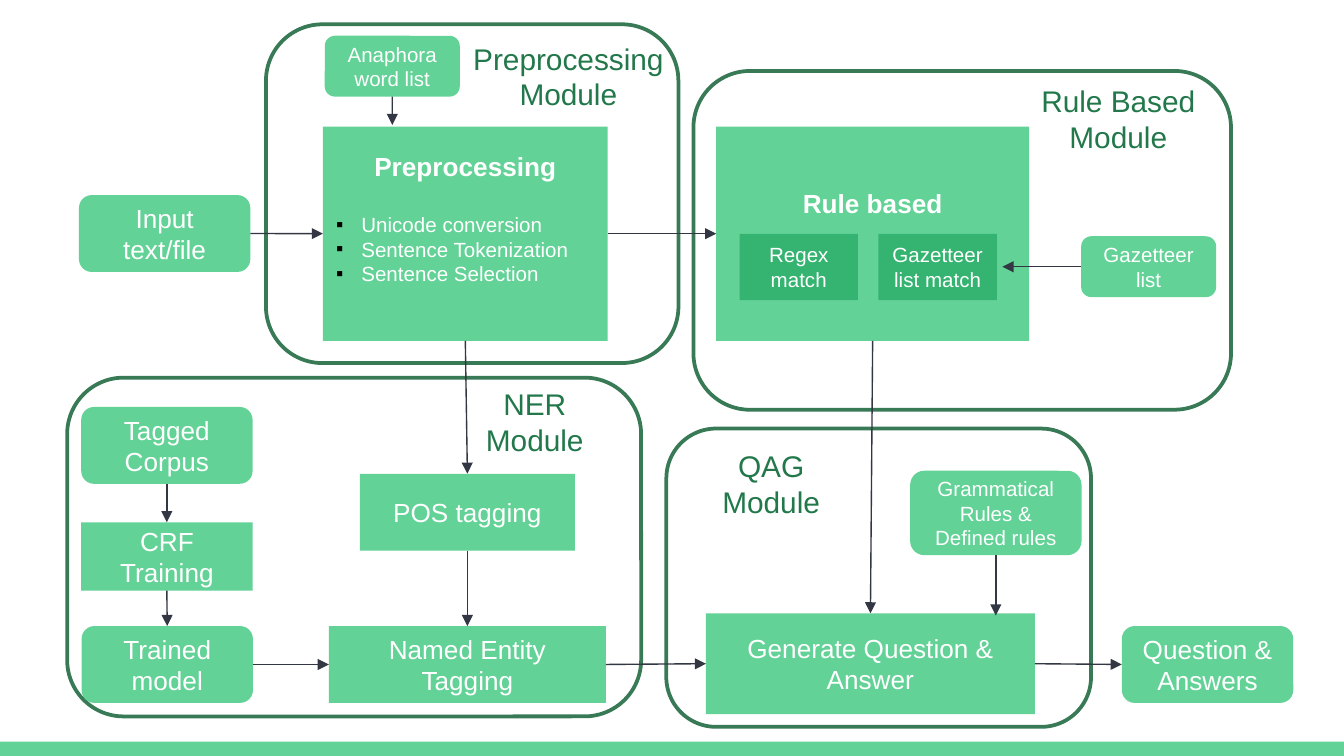
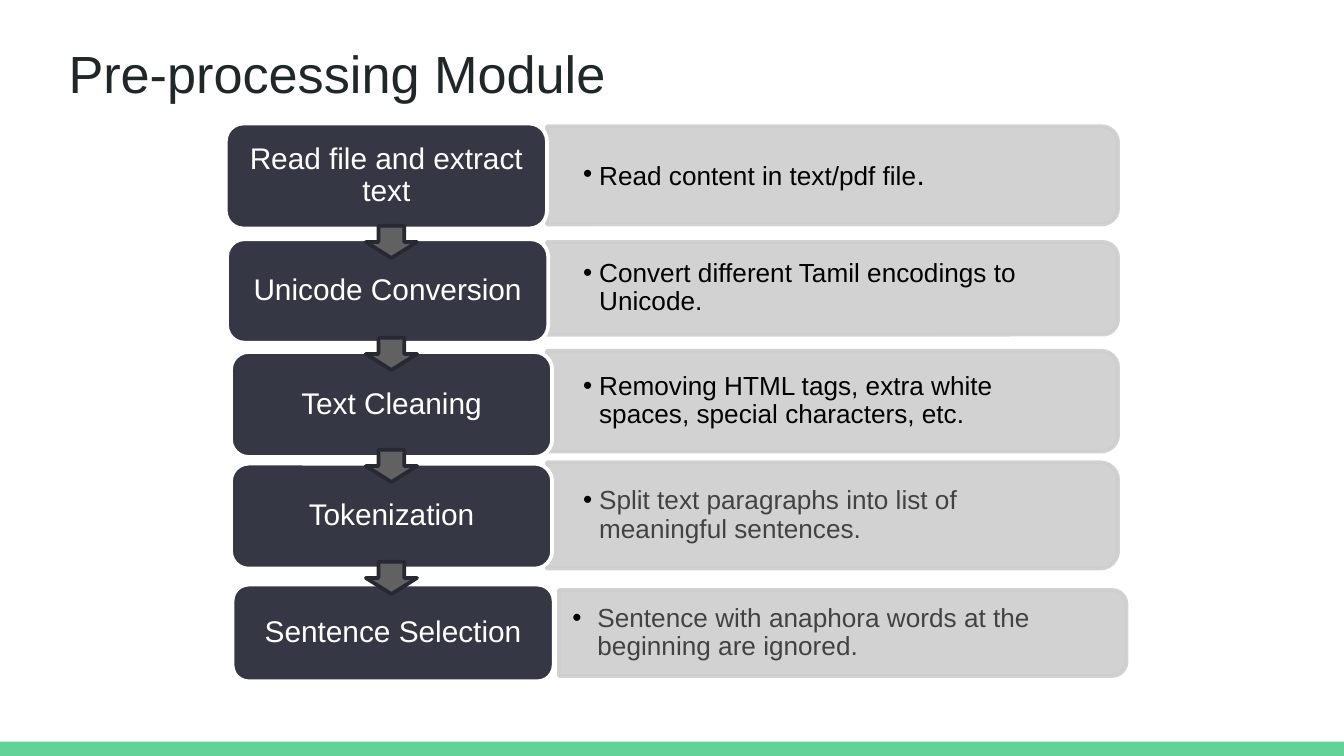
from dataclasses import dataclass
from typing import NamedTuple

import pptx
import pptx.dml.color
import pptx.enum.shapes
import pptx.enum.text
import pptx.oxml
import pptx.oxml.ns
import pptx.util

Pt = pptx.util.Pt
qn = pptx.oxml.ns.qn
Kind = pptx.enum.shapes.MSO_SHAPE
Align = pptx.enum.text.PP_ALIGN
Anchor = pptx.enum.text.MSO_ANCHOR

FONT = "Arial"
GREEN, DEEP_GREEN, FRAME_GREEN, LABEL_GREEN = "63D297", "34B470", "387956", "23784B"
WHITE, BLACK, GRAY = "FFFFFF", "000000", "424242"
NAVY, PANEL_GRAY, ARROW_GRAY, ARROW_EDGE = "353744", "CECECF", "616161", "272932"
LINK_COLOR, TITLE_COLOR = "333643", "202729"
TOP, LEFT, BOTTOM, RIGHT = range(4)


class Area(NamedTuple):
    left: float
    top: float
    width: float
    height: float


class Span(NamedTuple):
    text: str
    size: float


@dataclass(frozen=True)
class Box:
    text: str
    area: Area
    size: float = 14
    kind: int = Kind.ROUNDED_RECTANGLE
    fill: str = GREEN
    bold: bool = False
    space_below: float = 3.6


@dataclass(frozen=True)
class Link:
    """Arrow from a box side to another box side, or to a free point."""
    start: str
    start_side: int
    end: str | tuple[float, float]
    end_side: int = TOP


@dataclass(frozen=True)
class Step:
    name: str
    area: Area
    panel: Area
    spans: tuple[Span, ...]
    color: str = BLACK
    inset: float = 19.4
    indent: float = 8.6


FRAMES = [
    Area(357, 229.6, 227.5, 159.8),
    Area(371.5, 38, 288, 181.5),
    Area(36, 202.3, 307.5, 181.5),
    Area(142.5, 13, 221, 181.5),
]
LABELS = [
    ("QAG Module", Area(362, 236.2, 102.2, 46)),
    ("NER Module", Area(235.4, 203, 102.2, 46)),
    ("Rule Based Module", Area(530, 41, 138.2, 46)),
    ("Preprocessing Module", Area(235.4, 18, 138.2, 46)),
]
BOXES = [
    Box("Input text/file", Area(42.3, 104.5, 91.8, 41.2)),
    Box("Preprocessing", Area(173, 67.8, 152.6, 114.8), kind=Kind.RECTANGLE,
        bold=True, space_below=20),
    Box("Anaphora word list", Area(174, 19.2, 72.3, 32.6), 11),
    Box("Rule based", Area(383.7, 67.8, 167.6, 114.8), kind=Kind.RECTANGLE,
        bold=True, space_below=36),
    Box("Gazetteer list match", Area(470.6, 125.3, 63.5, 35.6), 11, Kind.RECTANGLE, DEEP_GREEN),
    Box("Regex match", Area(396.2, 125.3, 63.5, 35.6), 11, Kind.RECTANGLE, DEEP_GREEN),
    Box("Gazetteer list", Area(579.2, 126.6, 72.3, 32.6), 11),
    Box("Tagged Corpus", Area(43.5, 218, 91.8, 41.2)),
    Box("Trained model", Area(43.7, 335.4, 91.8, 41.2)),
    Box("CRF Training", Area(43.5, 279.8, 91.8, 36.6), kind=Kind.RECTANGLE),
    Box("Named Entity Tagging", Area(176.2, 335.4, 148.4, 41.2), kind=Kind.RECTANGLE),
    Box("POS tagging", Area(192.8, 253.8, 115.2, 41.2), kind=Kind.RECTANGLE),
    Box("Generate Question & Answer", Area(378.2, 328.6, 176.2, 54), kind=Kind.RECTANGLE),
    Box("Grammatical Rules & Defined rules", Area(487.6, 252.2, 91.8, 45.2), 11),
    Box("Question & Answers", Area(601, 335.4, 91.8, 41.2)),
]
PREPROCESSING_TASKS = ["Unicode conversion", "Sentence Tokenization", "Sentence Selection"]
LINKS = [
    Link("Preprocessing", RIGHT, "Rule based", LEFT),
    Link("Input text/file", RIGHT, "Preprocessing", LEFT),
    Link("Gazetteer list", LEFT, (537, 142.9)),
    Link("Grammatical Rules & Defined rules", BOTTOM, (533.5, 329.8)),
    Link("Preprocessing", BOTTOM, "POS tagging"),
    Link("POS tagging", BOTTOM, "Named Entity Tagging"),
    Link("Tagged Corpus", BOTTOM, "CRF Training"),
    Link("CRF Training", BOTTOM, "Trained model"),
    Link("Trained model", RIGHT, "Named Entity Tagging", LEFT),
    Link("Named Entity Tagging", RIGHT, "Generate Question & Answer", LEFT),
    Link("Generate Question & Answer", RIGHT, "Question & Answers", LEFT),
    Link("Anaphora word list", BOTTOM, (210.2, 67)),
    Link("Rule based", BOTTOM, "Generate Question & Answer"),
]
STEPS = [
    Step("Read file and extract text", Area(121, 66.2, 172, 56.2), Area(293, 67.7, 306, 52.6),
         (Span("Read content in text/pdf file", 14), Span(".", 16))),
    Step("Unicode Conversion", Area(121.7, 128.2, 172, 55.4), Area(293, 129.6, 306, 49.7),
         (Span("Convert different Tamil encodings to Unicode.", 14),)),
    Step("Text Cleaning", Area(123.8, 188.6, 172, 56.2), Area(293, 187.9, 306, 54),
         (Span("Removing HTML tags, extra white spaces, special characters, etc.", 14),)),
    Step("Tokenization", Area(123.8, 248.4, 172, 56.2), Area(293, 247.7, 306, 56.9),
         (Span("Split text paragraphs into list of meaningful sentences.", 14),), GRAY),
    Step("Sentence Selection", Area(124.6, 313.2, 172, 51.8), Area(299.5, 316.1, 304, 46.1),
         (Span("Sentence with anaphora words at the beginning are ignored.", 14),),
         GRAY, 7.2, 13.5),
]


def rgb(color: str) -> pptx.dml.color.RGBColor:
    return pptx.dml.color.RGBColor.from_string(color)


def add_run(paragraph, text: str, size: float, color: str, bold: bool = False) -> None:
    run = paragraph.add_run()
    run.text = text
    run.font.name = FONT
    run.font.size = Pt(size)
    run.font.bold = bold
    run.font.color.rgb = rgb(color)


def add_bullet(paragraph, character: str, indent: float) -> None:
    properties = paragraph._p.get_or_add_pPr()
    properties.set("marL", str(Pt(indent)))
    properties.set("indent", str(-Pt(indent)))
    namespace = pptx.oxml.ns.nsdecls("a")
    for xml in (f'<a:buClr {namespace}><a:srgbClr val="{BLACK}"/></a:buClr>',
                f'<a:buFont {namespace} typeface="{FONT}"/>',
                f'<a:buChar {namespace} char="{character}"/>'):
        properties.append(pptx.oxml.parse_xml(xml))


def set_frame(shape, horizontal: float = 7.2, vertical: float = 3.6, anchor=Anchor.MIDDLE):
    """Wrap the shape's text, set its insets and return the text frame."""
    frame = shape.text_frame
    frame.word_wrap = True
    frame.vertical_anchor = anchor
    frame.margin_left = frame.margin_right = Pt(horizontal)
    frame.margin_top = frame.margin_bottom = Pt(vertical)
    return frame


def add_shape(slide, kind: int, area: Area, fill: str, line: str | None = None):
    shape = slide.shapes.add_shape(kind, *map(Pt, area))
    shape.shadow.inherit = False
    shape.fill.solid()
    shape.fill.fore_color.rgb = rgb(fill)
    if line:
        shape.line.color.rgb = rgb(line)
        shape.line.width = Pt(2)
    else:
        shape.line.fill.background()
    return shape


def add_slide(presentation, layout: int):
    slide = presentation.slides.add_slide(presentation.slide_layouts[layout])
    add_shape(slide, Kind.RECTANGLE, Area(0, 397.4, 720, 7.6), GREEN)
    return slide


def add_box(slide, box: Box):
    shape = add_shape(slide, box.kind, box.area, box.fill)
    frame = set_frame(shape)
    frame.margin_bottom = Pt(box.space_below)
    paragraph = frame.paragraphs[0]
    paragraph.alignment = Align.CENTER
    add_run(paragraph, box.text, box.size, WHITE, box.bold)
    return shape


def add_tasks(shape) -> None:
    for index, task in enumerate(PREPROCESSING_TASKS):
        paragraph = shape.text_frame.add_paragraph()
        paragraph.alignment = Align.JUSTIFY
        if index == 0:
            paragraph.space_before = Pt(16)
        add_bullet(paragraph, "▪", 13.5)
        add_run(paragraph, task, 11, WHITE)


def add_link(slide, link: Link, shapes: dict) -> None:
    connector = slide.shapes.add_connector(pptx.enum.shapes.MSO_CONNECTOR.STRAIGHT, 0, 0, 0, 0)
    connector.begin_connect(shapes[link.start], link.start_side)
    if isinstance(link.end, str):
        connector.end_connect(shapes[link.end], link.end_side)
    else:
        connector.end_x, connector.end_y = map(Pt, link.end)
    connector.line.color.rgb = rgb(LINK_COLOR)
    connector.line.width = Pt(0.75)
    properties = connector.element.spPr
    tail = properties.find(qn("a:ln")).makeelement(qn("a:tailEnd"), {"type": "triangle"})
    properties.find(qn("a:ln")).append(tail)
    properties.append(properties.makeelement(qn("a:effectLst"), {}))


def add_label(slide, text: str, area: Area) -> None:
    frame = set_frame(slide.shapes.add_textbox(*map(Pt, area)), anchor=Anchor.TOP)
    frame.auto_size = pptx.enum.text.MSO_AUTO_SIZE.SHAPE_TO_FIT_TEXT
    frame.paragraphs[0].alignment = Align.CENTER
    add_run(frame.paragraphs[0], text, 16, LABEL_GREEN)


def add_panel(slide, area: Area) -> None:
    """Draw a translucent panel rounded on its right side, by a quarter turn."""
    left = area.left + (area.width - area.height) / 2
    top = area.top - (area.width - area.height) / 2
    upright = Area(left, top, area.height, area.width)
    panel = add_shape(slide, Kind.ROUND_2_SAME_RECTANGLE, upright, PANEL_GRAY, PANEL_GRAY)
    panel.rotation = 90
    for color in panel.element.spPr.iter(qn("a:srgbClr")):
        color.append(color.makeelement(qn("a:alpha"), {"val": "90000"}))


def add_step(slide, step: Step) -> None:
    add_panel(slide, step.panel)
    detail = set_frame(slide.shapes.add_textbox(*map(Pt, step.panel)), step.inset)
    paragraph = detail.paragraphs[0]
    paragraph.line_spacing = 0.9
    add_bullet(paragraph, "•", step.indent)
    for span in step.spans:
        add_run(paragraph, span.text, span.size, step.color)

    box = add_shape(slide, Kind.ROUNDED_RECTANGLE, step.area, NAVY, WHITE)
    name = set_frame(box, 5).paragraphs[0]
    name.alignment = Align.CENTER
    name.line_spacing = 0.9
    add_run(name, step.name, 16, WHITE)


def add_title(slide, text: str) -> None:
    title = slide.shapes.title
    title.left, title.top, title.width, title.height = map(Pt, Area(29.5, 15.1, 671, 45.4))
    frame = set_frame(title, 7.2, 7.2, Anchor.TOP)
    frame.auto_size = pptx.enum.text.MSO_AUTO_SIZE.NONE
    frame.paragraphs[0].alignment = Align.LEFT
    add_run(frame.paragraphs[0], text, 28, TITLE_COLOR)


def build_architecture(presentation) -> None:
    slide = add_slide(presentation, 6)
    for area in FRAMES:
        add_shape(slide, Kind.ROUNDED_RECTANGLE, area, WHITE, FRAME_GREEN)
    shapes = {box.text: add_box(slide, box) for box in BOXES}
    add_tasks(shapes["Preprocessing"])
    for link in LINKS:
        add_link(slide, link, shapes)
    for text, area in LABELS:
        add_label(slide, text, area)


def build_preprocessing(presentation) -> None:
    slide = add_slide(presentation, 5)
    add_title(slide, "Pre-processing Module")
    for step in STEPS:
        add_step(slide, step)
    for index in range(len(STEPS) - 1):
        area = Area(196, 121 + 60 * index, 27.4, 17.3)
        add_shape(slide, Kind.DOWN_ARROW, area, ARROW_GRAY, ARROW_EDGE)


def main() -> None:
    presentation = pptx.Presentation()
    presentation.slide_width, presentation.slide_height = Pt(720), Pt(405)
    build_architecture(presentation)
    build_preprocessing(presentation)
    presentation.save("out.pptx")


if __name__ == "__main__":
    main()
